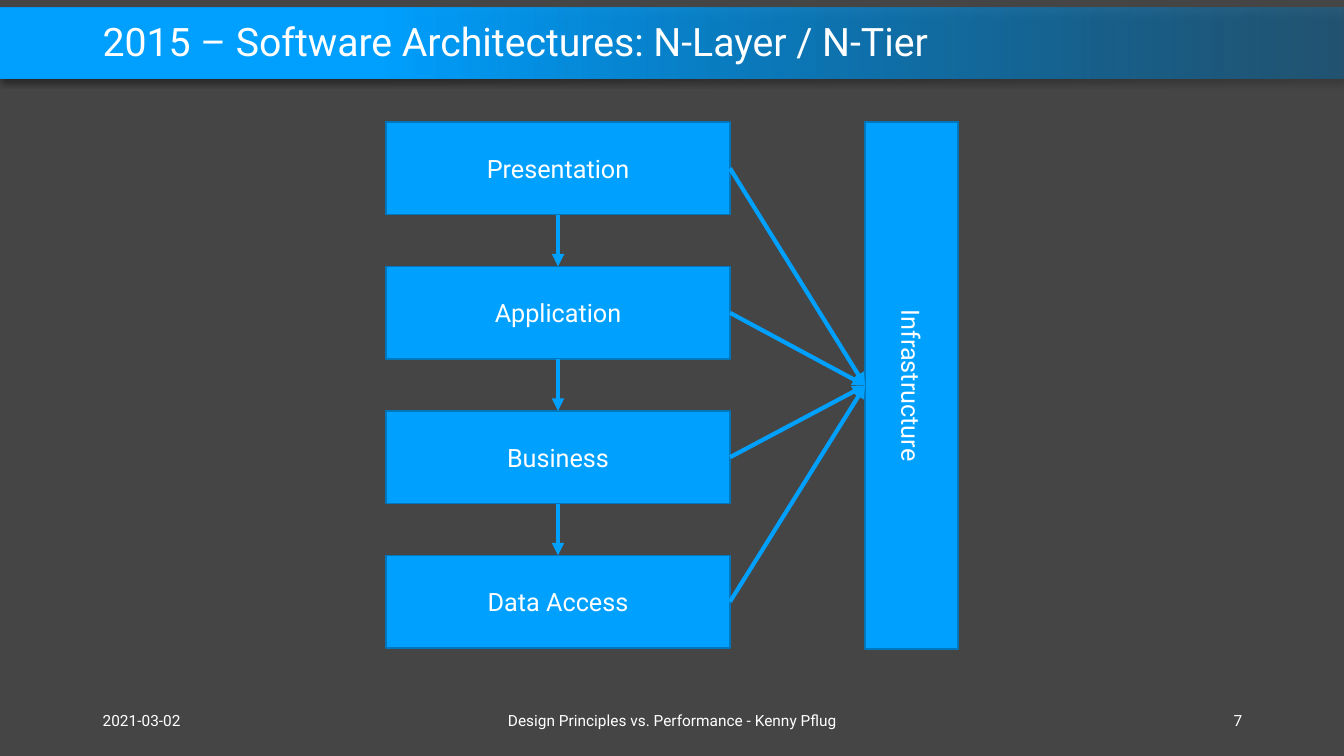
from dataclasses import dataclass

from lxml import etree
from pptx import Presentation
from pptx import util as u
from pptx.dml.color import RGBColor
from pptx.enum import shapes, text
from pptx.oxml import ns, parse_xml
from pptx.shapes.autoshape import Shape
from pptx.shapes.connector import Connector
from pptx.slide import Slide
from pptx.util import Inches

GRAY = RGBColor(0x45, 0x45, 0x45)
BLUE = RGBColor(0x00, 0xA0, 0xFF)
FADE_BLUE = RGBColor(0x00, 0x78, 0xBF)
EDGE_BLUE = RGBColor(0x00, 0x76, 0xBD)
WHITE = RGBColor(0xFF, 0xFF, 0xFF)
FONT = "Roboto"

TOP, BOTTOM, RIGHT = 0, 2, 3
LAYERS = ("Presentation", "Application", "Business", "Data Access")
LAYER_LEFT, LAYER_TOP, LAYER_WIDTH = 3.83, 1.21, 3.41
LAYER_PITCH = 4.3 / 3
THICKNESS = 0.92
INFRA_LEFT, INFRA_LENGTH = 8.58, 5.23


@dataclass(frozen=True)
class Frame:
    left: float
    top: float
    width: float
    height: float

    def lengths(self) -> tuple[u.Length, ...]:
        return tuple(Inches(n) for n in (self.left, self.top, self.width, self.height))


@dataclass(frozen=True)
class Label:
    words: str
    frame: Frame
    size: int = 11
    align: text.PP_ALIGN = text.PP_ALIGN.LEFT
    spacing: float = 1.0


LABELS = (
    Label("2015 – Software Architectures: N-Layer / N-Tier",
          Frame(0.92, 0.16, 11.5, 0.55), size=28, spacing=0.9),
    Label("2021-03-02", Frame(0.92, 6.95, 3, 0.4)),
    Label("Design Principles vs. Performance - Kenny Pflug",
          Frame(4.42, 6.95, 4.5, 0.4), align=text.PP_ALIGN.CENTER),
    Label("7", Frame(9.42, 6.95, 3, 0.4), align=text.PP_ALIGN.RIGHT),
)


def write(box: Shape, words: str, size: int, align: text.PP_ALIGN, spacing: float = 1.0) -> None:
    box.text_frame.word_wrap = True
    box.text_frame.vertical_anchor = text.MSO_ANCHOR.MIDDLE
    para = box.text_frame.paragraphs[0]
    para.alignment = align
    para.line_spacing = spacing
    span = para.add_run()
    span.text = words
    span.font.name = FONT
    span.font.size = u.Pt(size)
    span.font.color.rgb = WHITE


def add_label(page: Slide, label: Label) -> None:
    box = page.shapes.add_textbox(*label.frame.lengths())
    write(box, label.words, label.size, label.align, label.spacing)


def add_rectangle(page: Slide, frame: Frame) -> Shape:
    box = page.shapes.add_shape(shapes.MSO_SHAPE.RECTANGLE, *frame.lengths())
    box.shadow.inherit = False
    return box


def add_block(page: Slide, words: str, frame: Frame) -> Shape:
    box = add_rectangle(page, frame)
    box.fill.solid()
    box.fill.fore_color.rgb = BLUE
    box.line.color.rgb = EDGE_BLUE
    box.line.width = u.Pt(1)
    write(box, words, 18, text.PP_ALIGN.CENTER)
    return box


def add_title_bar(page: Slide) -> None:
    bar = add_rectangle(page, Frame(0, 0.08, 13.33, 0.7))
    bar.line.fill.background()
    bar.fill.gradient()
    bar.fill.gradient_angle = 180
    stops = bar.fill.gradient_stops
    for stop, color, position in zip(stops, (FADE_BLUE, BLUE), (0, 0.72)):
        stop.color.rgb = color
        stop.position = position
    first_color = bar.element.spPr.find(".//" + ns.qn("a:srgbClr"))
    etree.SubElement(first_color, ns.qn("a:alpha"), val="40000")
    bar.element.spPr.find(ns.qn("a:effectLst")).append(parse_xml(
        f'<a:outerShdw {ns.nsdecls("a")} blurRad="{u.Pt(4)}" dist="{u.Pt(3)}" '
        'dir="5400000" algn="t" rotWithShape="0">'
        '<a:srgbClr val="000000"><a:alpha val="40000"/></a:srgbClr></a:outerShdw>'))


def add_arrow(page: Slide, source: Shape, side: int, target: Shape, target_side: int) -> Connector:
    arrow = page.shapes.add_connector(shapes.MSO_CONNECTOR.STRAIGHT, 0, 0, 0, 0)
    arrow.begin_connect(source, side)
    arrow.end_connect(target, target_side)
    arrow.line.color.rgb = BLUE
    arrow.line.width = u.Pt(3)
    etree.SubElement(arrow.line._get_or_add_ln(), ns.qn("a:tailEnd"), type="triangle")
    etree.SubElement(arrow.element.spPr, ns.qn("a:effectLst"))
    return arrow


def add_diagram(page: Slide) -> None:
    layers = [
        add_block(page, name, Frame(LAYER_LEFT, LAYER_TOP + i * LAYER_PITCH, LAYER_WIDTH, THICKNESS))
        for i, name in enumerate(LAYERS)
    ]
    middle = LAYER_TOP + INFRA_LENGTH / 2
    infrastructure = add_block(page, "Infrastructure", Frame(
        INFRA_LEFT + (THICKNESS - INFRA_LENGTH) / 2, middle - THICKNESS / 2, INFRA_LENGTH, THICKNESS))
    infrastructure.rotation = 90
    for upper, lower in zip(layers, layers[1:]):
        add_arrow(page, upper, BOTTOM, lower, TOP)
    for layer in layers:
        arrow = add_arrow(page, layer, RIGHT, infrastructure, BOTTOM)
        arrow.end_x, arrow.end_y = Inches(INFRA_LEFT), Inches(middle)


def main() -> None:
    """Build the N-layer architecture slide."""
    deck = Presentation()
    deck.slide_width, deck.slide_height = Inches(13.33), Inches(7.5)
    page = deck.slides.add_slide(deck.slide_layouts[6])
    page.background.fill.solid()
    page.background.fill.fore_color.rgb = GRAY
    add_title_bar(page)
    for label in LABELS:
        add_label(page, label)
    add_diagram(page)
    deck.save("out.pptx")


if __name__ == "__main__":
    main()
